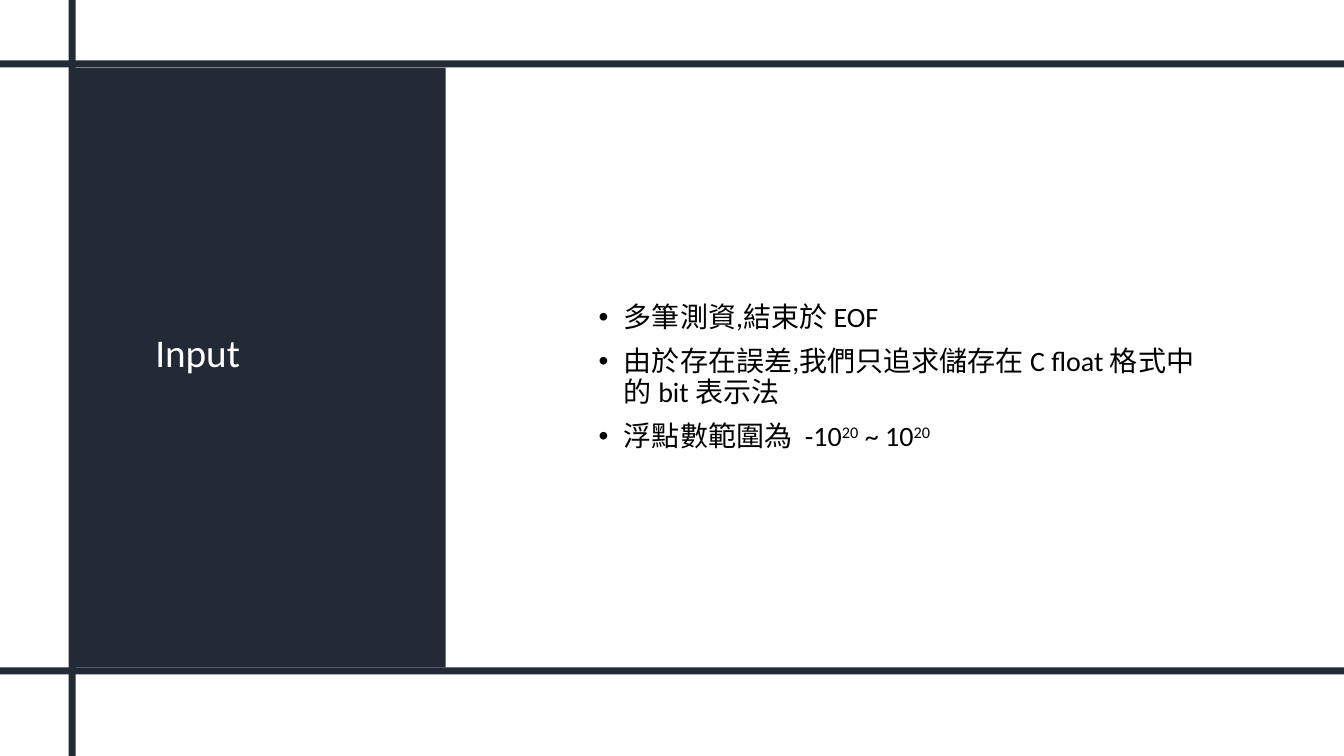
from pptx import Presentation
from pptx.dml.color import RGBColor
from pptx.enum.shapes import MSO_SHAPE
from pptx.enum.text import MSO_ANCHOR, MSO_AUTO_SIZE, PP_ALIGN
from pptx.oxml.xmlchemy import OxmlElement
from pptx.util import Inches, Pt

COLORS = {"navy": "222A35", "white": "FFFFFF", "black": "000000"}
WIDTH, HEIGHT, BAR = 13.33, 7.5, 0.07
FRAME = {
    "word_wrap": True,
    "auto_size": MSO_AUTO_SIZE.NONE,
    "vertical_anchor": MSO_ANCHOR.MIDDLE,
}
TITLE_PARA = {"alignment": PP_ALIGN.LEFT, "line_spacing": 0.9}
BULLET_PARA = TITLE_PARA | {"space_before": Pt(10)}
TITLE_FONT = {"name": "Calibri", "size": Pt(28)}
BODY_FONT = {"name": "Calibri", "size": Pt(20)}
SUPERSCRIPT = "30000"
BULLETS = [
    [("多筆測資,結束於 EOF".replace(",", ","), False)],
    [("由於存在誤差,我們只追求儲存在 C float 格式中的 bit 表示法".replace(",", ","), False)],
    [("浮點數範圍為  -10", False), ("20", True), (" ~ 10", False), ("20", True)],
]


def apply_format(target, values):
    for name, value in values.items():
        setattr(target, name, value)


def place(shape, *bounds):
    names = ("left", "top", "width", "height")
    apply_format(shape, dict(zip(names, map(Inches, bounds))))


def add_block(page, *bounds):
    block = page.shapes.add_shape(MSO_SHAPE.RECTANGLE, *map(Inches, bounds))
    block.shadow.inherit = False
    block.fill.solid()
    block.fill.fore_color.rgb = RGBColor.from_string(COLORS["navy"])
    block.line.fill.background()
    return block


def add_span(para, text, font, color, raised=False):
    span = para.add_run()
    span.text = text
    apply_format(span.font, font)
    span.font.color.rgb = RGBColor.from_string(COLORS[color])
    if raised:
        span.font._element.set("baseline", SUPERSCRIPT)


def set_bullet(para):
    properties = para._p.get_or_add_pPr()
    properties.set("marL", str(Inches(0.25)))
    properties.set("indent", str(-Inches(0.25)))
    for tag, name, value in (("a:buFont", "typeface", "Arial"), ("a:buChar", "char", "•")):
        mark = OxmlElement(tag)
        mark.set(name, value)
        properties.append(mark)


def write_title(title, text):
    place(title, 1.44, 1.1, 2.22, 4.84)
    apply_format(title.text_frame, FRAME)
    para = title.text_frame.paragraphs[0]
    apply_format(para, TITLE_PARA)
    add_span(para, text, TITLE_FONT, "white")


def add_bullets(page, items, *bounds):
    box = page.shapes.add_textbox(*map(Inches, bounds))
    apply_format(box.text_frame, FRAME)
    for index, spans in enumerate(items):
        para = box.text_frame.add_paragraph() if index else box.text_frame.paragraphs[0]
        apply_format(para, BULLET_PARA)
        set_bullet(para)
        for text, raised in spans:
            add_span(para, text, BODY_FONT, "black", raised)


def main():
    deck = Presentation()
    apply_format(deck, {"slide_width": Inches(WIDTH), "slide_height": Inches(HEIGHT)})
    page = deck.slides.add_slide(deck.slide_layouts[5])
    title = page.shapes.title
    panel = add_block(page, 0.72, 0.67, 3.7, 5.95)
    title._element.addprevious(panel._element)
    write_title(title, "Input")
    add_bullets(page, BULLETS, 5.84, 1.41, 6.34, 4.68)
    add_block(page, 0, 6.62, WIDTH, BAR)
    add_block(page, 0.68, 0, BAR, HEIGHT)
    add_block(page, 0, 0.6, WIDTH, BAR)
    deck.save("out.pptx")


main()
